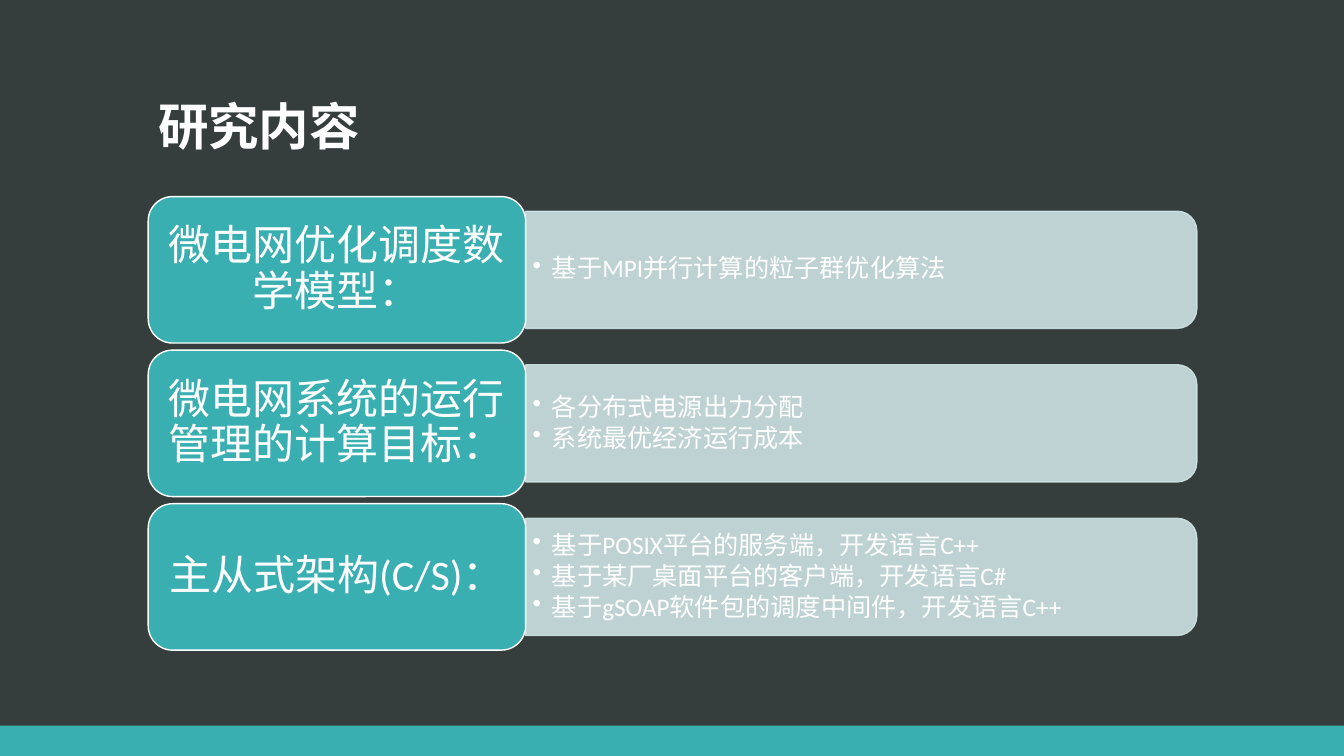
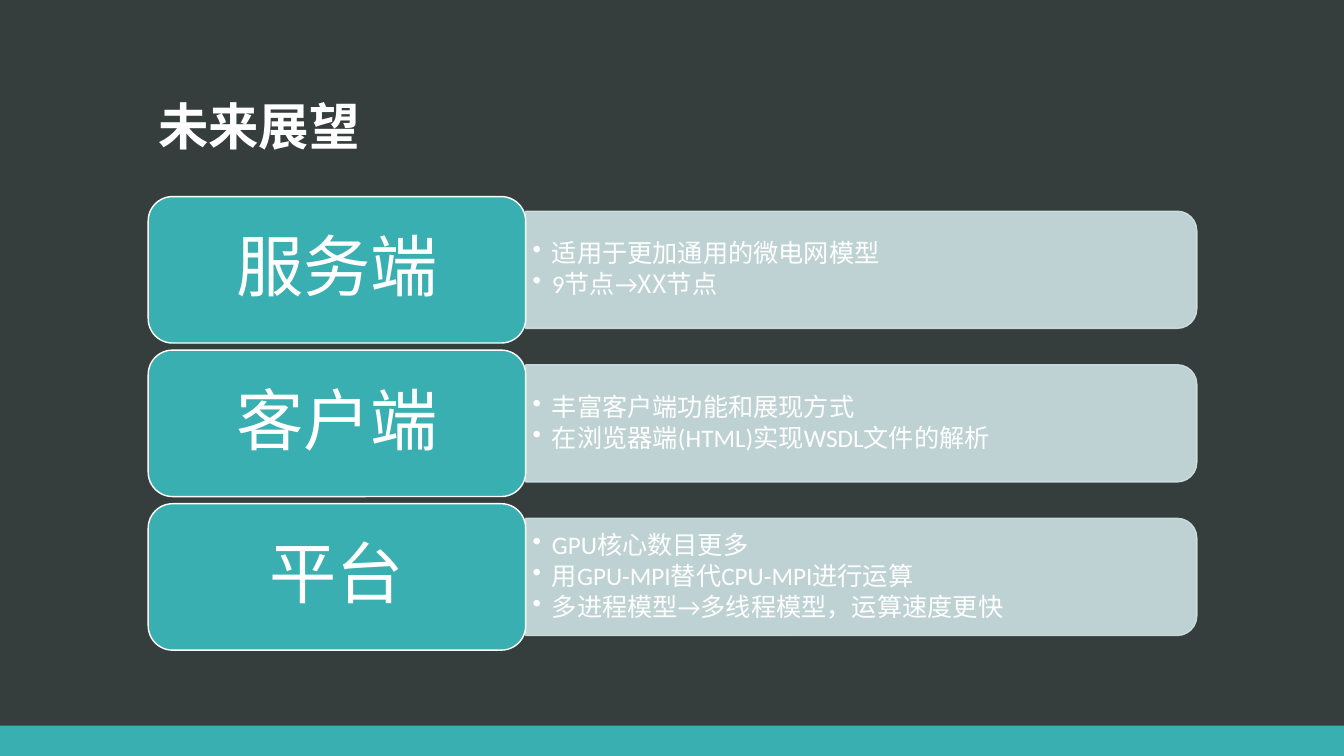
from collections import namedtuple
from dataclasses import dataclass

from lxml import etree
from pptx import Presentation
from pptx import util as u
from pptx.dml.color import RGBColor
from pptx.enum import shapes, text
from pptx.oxml.ns import qn

Box = namedtuple("Box", "left top width height")


@dataclass(frozen=True)
class Theme:
    """Colours, fonts and type sizes shared by the slides."""
    ground: str = "363D3D"
    accent: str = "3AAFB2"
    panel: str = "CEE3E4"
    ink: str = "FFFFFF"
    body_font: str = "Calibri"
    title_font: str = "Noto Sans CJK SC"
    title_size: int = 36
    body_size: int = 18
    panel_opacity: int = 90
    line_spacing: float = 0.9


THEME = Theme()
WIDTH, HEIGHT = 13.33, 7.5
BAND = Box(0, HEIGHT * 0.96, WIDTH, HEIGHT * 0.04)
TITLE = Box(1.47, 0.25, 10.4, 1.35)
ROWS = Box(1.47, 1.95, 10.4, 4.5)
ROW_GAP = 0.07
LABEL_SHARE = 0.36
PANEL_SHARE = 0.8


def inches(box):
    """Turn a box into the four lengths of a shape."""
    return [u.Inches(value) for value in box]


def add_block(page, kind, box, fill, line=None, opacity=100):
    """Add a flat preset shape with an optional outline."""
    block = page.shapes.add_shape(kind, *inches(box))
    block.shadow.inherit = False
    block.fill.solid()
    block.fill.fore_color.rgb = RGBColor.from_string(fill)
    if line:
        block.line.color.rgb = RGBColor.from_string(line)
        block.line.width = u.Pt(1)
    else:
        block.line.fill.background()
    if opacity < 100:
        for color in block.element.spPr.iter(qn("a:srgbClr")):
            etree.SubElement(color, qn("a:alpha"), val=str(opacity * 1000))
    return block


def set_frame(frame, anchor, across, down):
    """Set wrapping, anchor and insets of a text frame."""
    frame.word_wrap = True
    frame.vertical_anchor = anchor
    frame.margin_left = frame.margin_right = u.Inches(across)
    frame.margin_top = frame.margin_bottom = u.Inches(down)


def style_span(span, size, font, wide_font, bold=False):
    """Format one run for Latin and East Asian characters."""
    span.font.size = u.Pt(size)
    span.font.name = font
    span.font.bold = bold
    span.font.color.rgb = RGBColor.from_string(THEME.ink)
    etree.SubElement(span.font._element, qn("a:ea"), typeface=wide_font)


def style_para(para, align, size, after=0):
    """Set alignment and spacing, the space after being a share of the size."""
    para.alignment = align
    para.line_spacing = THEME.line_spacing
    para.space_after = u.Pt(size * after)


def add_title(page, box, wording):
    """Write the slide title at the foot of its box."""
    frame = page.shapes.add_textbox(*inches(box)).text_frame
    set_frame(frame, text.MSO_ANCHOR.BOTTOM, 0.1, 0.05)
    frame.text = wording
    para = frame.paragraphs[0]
    style_para(para, text.PP_ALIGN.LEFT, THEME.title_size)
    style_span(para.runs[0], THEME.title_size, THEME.title_font, THEME.title_font, True)


def add_label(page, box, wording, size):
    """Draw the rounded heading of a row."""
    label = add_block(page, shapes.MSO_SHAPE.ROUNDED_RECTANGLE, box, THEME.accent, THEME.ink)
    set_frame(label.text_frame, text.MSO_ANCHOR.MIDDLE, size / 250, size / 500)
    label.text_frame.text = wording
    para = label.text_frame.paragraphs[0]
    style_para(para, text.PP_ALIGN.CENTER, size, 0.35)
    style_span(para.runs[0], size, THEME.body_font, THEME.body_font)


def add_bullet(para, wording):
    """Write one bullet, using the title font from an arrow onwards."""
    before, arrow, after = wording.partition("→")
    for part, font in ((before, THEME.body_font), (arrow + after, THEME.title_font)):
        if part:
            span = para.add_run()
            span.text = part
            style_span(span, THEME.body_size, font, THEME.body_font)
    style_para(para, text.PP_ALIGN.LEFT, THEME.body_size, 0.15)
    props = para._p.get_or_add_pPr()
    indent = u.Inches(0.19)
    props.set("marL", str(indent))
    props.set("indent", str(-indent))
    etree.SubElement(props, qn("a:buChar"), char="•")


def add_details(page, box, bullets):
    """Draw a panel rounded on its right side and the bullets over it."""
    upright = Box(box.left + (box.width - box.height) / 2,
                  box.top + (box.height - box.width) / 2, box.height, box.width)
    panel = add_block(page, shapes.MSO_SHAPE.ROUND_2_SAME_RECTANGLE, upright,
                      THEME.panel, THEME.panel, THEME.panel_opacity)
    panel.rotation = 90
    frame = page.shapes.add_textbox(*inches(box)).text_frame
    set_frame(frame, text.MSO_ANCHOR.MIDDLE, 0.07, 0.04)
    for index, wording in enumerate(bullets):
        para = frame.add_paragraph() if index else frame.paragraphs[0]
        add_bullet(para, wording)


def add_rows(page, box, rows, label_size):
    """Stack equal rows, each a label with its details."""
    height = (box.height - ROW_GAP * (len(rows) - 1)) / len(rows)
    label_width = box.width * LABEL_SHARE
    for index, (heading, bullets) in enumerate(rows):
        top = box.top + index * (height + ROW_GAP)
        add_details(page, Box(box.left + label_width, top + height * (1 - PANEL_SHARE) / 2,
                              box.width - label_width, height * PANEL_SHARE), bullets)
        add_label(page, Box(box.left, top, label_width, height), heading, label_size)


def add_page(deck, title, rows, label_size):
    """Build one slide: ground, band, title and rows."""
    page = deck.slides.add_slide(deck.slide_layouts[6])
    page.background.fill.solid()
    page.background.fill.fore_color.rgb = RGBColor.from_string(THEME.ground)
    add_block(page, shapes.MSO_SHAPE.RECTANGLE, BAND, THEME.accent)
    add_title(page, TITLE, title)
    add_rows(page, ROWS, rows, label_size)


RESEARCH = [
    ("微电网优化调度数学模型：", ["基于MPI并行计算的粒子群优化算法"]),
    ("微电网系统的运行管理的计算目标：", ["各分布式电源出力分配", "系统最优经济运行成本"]),
    ("主从式架构(C/S)：", ["基于POSIX平台的服务端，开发语言C++",
                       "基于某厂桌面平台的客户端，开发语言C#",
                       "基于gSOAP软件包的调度中间件，开发语言C++"]),
]
OUTLOOK = [
    ("服务端", ["适用于更加通用的微电网模型", "9节点→XX节点"]),
    ("客户端", ["丰富客户端功能和展现方式", "在浏览器端(HTML)实现WSDL文件的解析"]),
    ("平台", ["GPU核心数目更多", "用GPU-MPI替代CPU-MPI进行运算",
            "多进程模型→多线程模型，运算速度更快"]),
]

deck = Presentation()
deck.slide_width, deck.slide_height = u.Inches(WIDTH), u.Inches(HEIGHT)
add_page(deck, "研究内容", RESEARCH, 30)
add_page(deck, "未来展望", OUTLOOK, 48)
deck.save("out.pptx")
